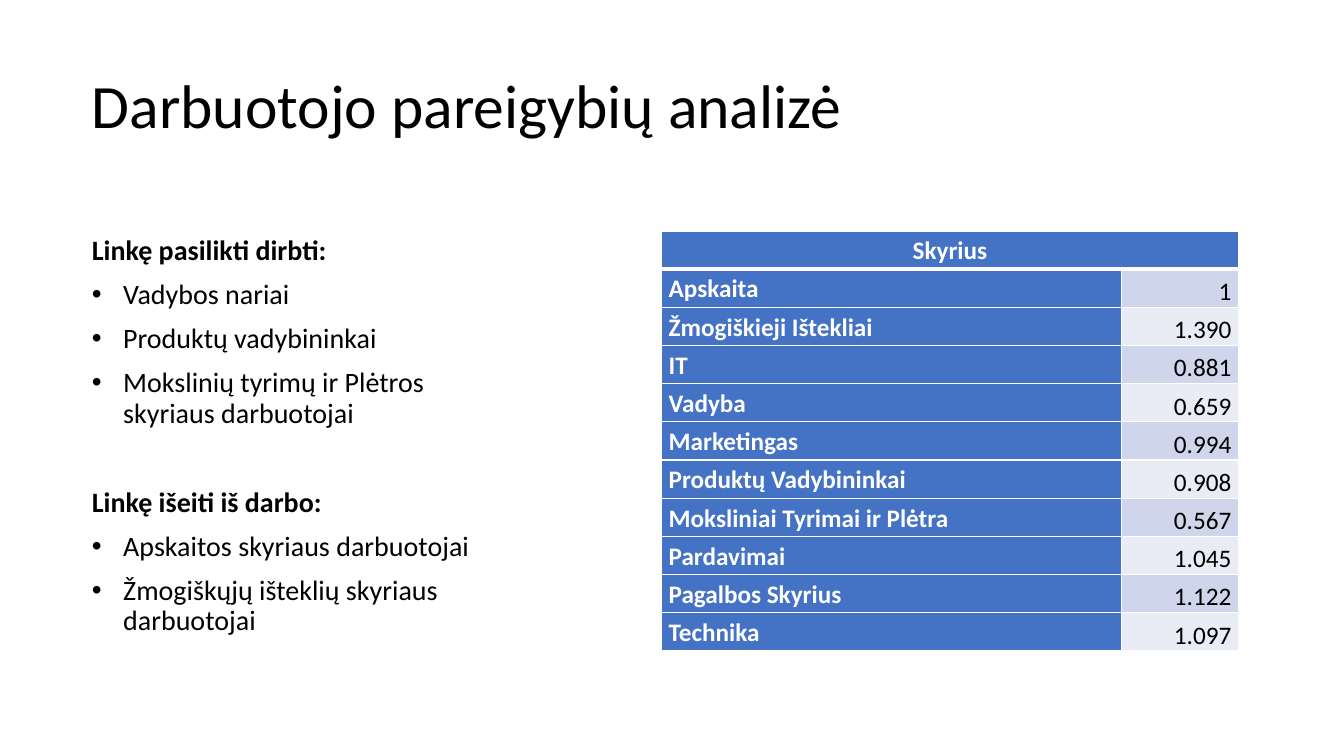
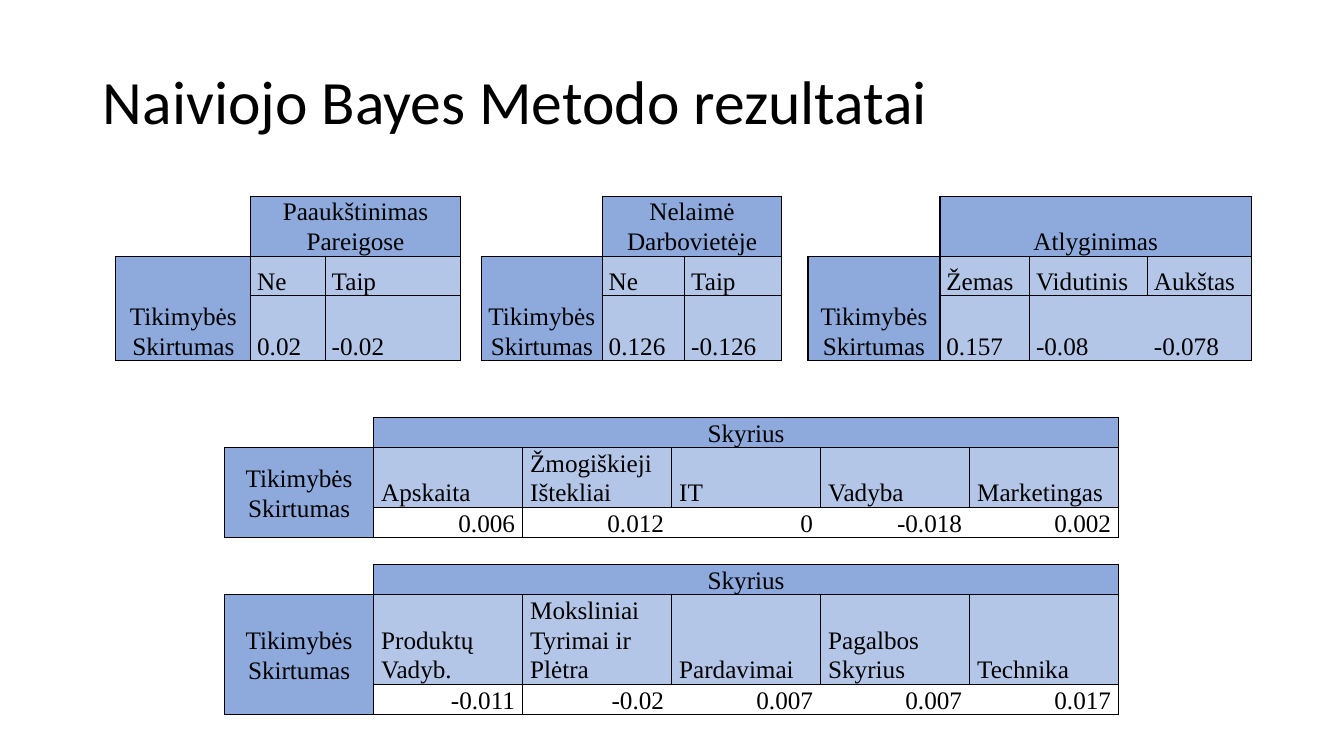
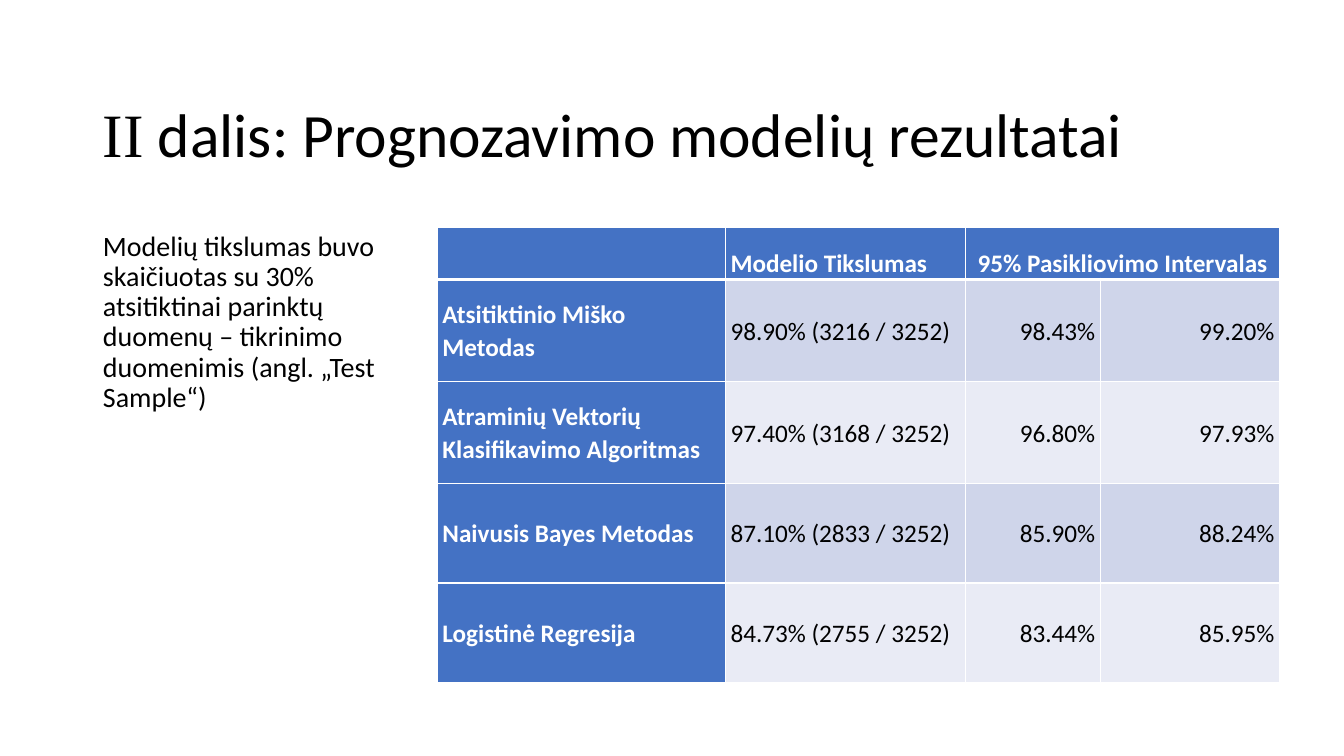
from dataclasses import dataclass, replace

from lxml.etree import SubElement
from pptx import Presentation
from pptx.dml.color import RGBColor
from pptx.enum.text import MSO_ANCHOR as Anchor, MSO_AUTO_SIZE as AutoSize, PP_ALIGN as Align
from pptx.oxml.ns import qn
from pptx.oxml.xmlchemy import OxmlElement
from pptx.util import Cm, Pt

BLACK = RGBColor(0x00, 0x00, 0x00)
WHITE = RGBColor(0xFF, 0xFF, 0xFF)
BLUE = RGBColor(0x44, 0x72, 0xC4)
BAND_DARK = RGBColor(0xCF, 0xD5, 0xEA)
BAND_LIGHT = RGBColor(0xE9, 0xEB, 0xF5)
SKY = RGBColor(0x8E, 0xA9, 0xDB)
PALE = RGBColor(0xB4, 0xC6, 0xE7)
SANS = "Calibri"
SERIF = "Times New Roman"
PLAIN_TABLE = "{2D5ABB26-0587-4C30-8999-92F81FD0307C}"
TITLE_ONLY, TITLE_AND_BODY = 5, 1


@dataclass(frozen=True)
class Look:
    fill: RGBColor = None
    color: RGBColor = BLACK
    bold: bool = False
    font: str = SANS
    align: Align = Align.LEFT
    anchor: Anchor = Anchor.MIDDLE
    edge: RGBColor = WHITE
    sides: str = "LRTB"
    bottom: float = 1


LABEL = Look(BLUE, WHITE, True)
HEADER = replace(LABEL, align=Align.CENTER, bottom=3)
NUMBER = Look(align=Align.RIGHT)
CAPTION = Look(SKY, font=SERIF, align=Align.CENTER, anchor=Anchor.BOTTOM, edge=BLACK)
FIELD = replace(CAPTION, fill=PALE, align=Align.LEFT)


def banded(look, index):
    return replace(look, fill=BAND_LIGHT if index % 2 else BAND_DARK)


def outer_sides(index, count):
    return "TB" + "L" * (index == 0) + "R" * (index == count - 1)


class Slides:
    def __init__(self):
        self.deck = Presentation()
        self.deck.slide_width, self.deck.slide_height = Cm(33.87), Cm(19.05)
        self.page = None

    def add_page(self, layout):
        self.page = self.deck.slides.add_slide(self.deck.slide_layouts[layout])

    def place(self, box, left, top, width, height, anchor):
        box.left, box.top, box.width, box.height = Cm(left), Cm(top), Cm(width), Cm(height)
        frame = box.text_frame
        frame.word_wrap = True
        frame.auto_size = AutoSize.NONE
        frame.vertical_anchor = anchor
        return frame

    def add_span(self, para, text, size, font=SANS, color=BLACK, bold=False):
        span = para.add_run()
        span.text = text
        span.font.name, span.font.size = font, Pt(size)
        span.font.bold, span.font.color.rgb = bold, color

    def title(self, left, top, width, height, *parts):
        frame = self.place(self.page.shapes.title, left, top, width, height, Anchor.BOTTOM)
        para = frame.paragraphs[0]
        para.alignment, para.line_spacing = Align.LEFT, 0.9
        for text, font in parts:
            self.add_span(para, text, 44, font)

    def body(self, left, top, width, height, items):
        frame = self.place(self.page.placeholders[1], left, top, width, height, Anchor.TOP)
        for index, (text, bullet, bold, before) in enumerate(items):
            para = frame.add_paragraph() if index else frame.paragraphs[0]
            para.alignment, para.line_spacing = Align.LEFT, 0.9
            para.space_before = Pt(before)
            self.bullet(para, bullet)
            self.add_span(para, text, 20, bold=bold)

    def bullet(self, para, shown):
        indent = Cm(0.79) if shown else 0
        props = para._p.get_or_add_pPr()
        props.set("marL", str(indent))
        props.set("indent", str(-indent))
        if shown:
            SubElement(props, qn("a:buFont")).set("typeface", "Arial")
            SubElement(props, qn("a:buChar")).set("char", "•")
        else:
            SubElement(props, qn("a:buNone"))

    def table(self, left, top, widths, heights):
        frame = self.page.shapes.add_table(len(heights), len(widths), Cm(left), Cm(top),
                                           Cm(sum(widths)), Cm(sum(heights)))
        frame.element.find(".//" + qn("a:tableStyleId")).text = PLAIN_TABLE
        table = frame.table
        table.first_row = table.horz_banding = False
        for column, width in zip(table.columns, widths):
            column.width = Cm(width)
        for row, height in zip(table.rows, heights):
            row.height = Cm(height)
        for cell in table.iter_cells():
            cell.margin_left = cell.margin_right = cell.margin_top = cell.margin_bottom = 0
            cell.fill.background()
            para = cell.text_frame.paragraphs[0]
            SubElement(para._p, qn("a:endParaRPr")).set("sz", "100")
        return table

    def cell(self, table, row, col, text, look, inset, rows=1, cols=1):
        cell = table.cell(row, col)
        if rows * cols > 1:
            cell.merge(table.cell(row + rows - 1, col + cols - 1))
        for down in range(rows):
            for across in range(cols):
                self.borders(table.cell(row + down, col + across), look)
        if look.fill is not None:
            cell.fill.solid()
            cell.fill.fore_color.rgb = look.fill
        cell.margin_left = cell.margin_right = Cm(inset)
        cell.vertical_anchor = look.anchor
        para = cell.text_frame.paragraphs[0]
        para.alignment, para.line_spacing = look.align, 1.07
        if text:
            self.add_span(para, text, 18, look.font, look.color, look.bold)

    def borders(self, cell, look):
        props = cell._tc.get_or_add_tcPr()
        for index, side in enumerate(s for s in "LRTB" if s in look.sides):
            line = OxmlElement("a:ln" + side)
            line.set("w", str(Pt(look.bottom if side == "B" else 1)))
            fill = SubElement(line, qn("a:solidFill"))
            SubElement(fill, qn("a:srgbClr")).set("val", str(look.edge))
            props.insert(index, line)

    def probability_block(self, table, row, col, heading, fields, inset, side_look, value_look):
        count = len(fields)
        self.cell(table, row, col + 1, heading, CAPTION, inset, cols=count)
        self.cell(table, row + 1, col, "Tikimybės Skirtumas", side_look, inset, rows=2)
        for index, (name, value) in enumerate(fields):
            place = col + 1 + index
            look = replace(value_look, sides=outer_sides(index, count))
            self.cell(table, row + 1, place, name, FIELD, inset)
            self.cell(table, row + 2, place, value, look, inset)


slides = Slides()

slides.add_page(TITLE_AND_BODY)
slides.title(2.06, 1.37, 29.21, 2.34, ("Darbuotojo pareigybių analizė", SANS))
departments = [
    ("Apskaita", "1"), ("Žmogiškieji Ištekliai", "1.390"), ("IT", "0.881"),
    ("Vadyba", "0.659"), ("Marketingas", "0.994"), ("Produktų Vadybininkai", "0.908"),
    ("Moksliniai Tyrimai ir Plėtra", "0.567"), ("Pardavimai", "1.045"),
    ("Pagalbos Skyrius", "1.122"), ("Technika", "1.097"),
]
ratios = slides.table(16.66, 5.82, [11.61, 2.95], [10.59 / 11] * 11)
slides.cell(ratios, 0, 0, "Skyrius", HEADER, 0.19, cols=2)
for index, (name, ratio) in enumerate(departments):
    slides.cell(ratios, index + 1, 0, name, LABEL, 0.19)
    ratio_look = replace(banded(NUMBER, index), anchor=Anchor.BOTTOM)
    slides.cell(ratios, index + 1, 1, ratio, ratio_look, 0.19)
slides.body(2.06, 5.82, 10.92, 10.59, [
    ("Linkę pasilikti dirbti:", False, True, 10),
    ("Vadybos nariai", True, False, 10),
    ("Produktų vadybininkai", True, False, 10),
    ("Mokslinių tyrimų ir Plėtros skyriaus darbuotojai", True, False, 10),
    ("Linkę išeiti iš darbo:", False, True, 42),
    ("Apskaitos skyriaus darbuotojai", True, False, 10),
    ("Žmogiškųjų išteklių skyriaus darbuotojai", True, False, 10),
])

slides.add_page(TITLE_ONLY)
slides.title(2.34, 1.27, 29.21, 2.34, ("Naiviojo Bayes Metodo rezultatai", SANS))
factors = slides.table(
    2.92, 4.95,
    [3.4, 1.88, 3.4, 0.53, 3.05, 2.08, 2.44, 0.66, 3.33, 2.26, 2.97, 2.62],
    [1.3, 1, 1.63])
for col, heading, fields in [
    (0, "Paaukštinimas Pareigose", [("Ne", "0.02"), ("Taip", "-0.02")]),
    (4, "Nelaimė Darbovietėje", [("Ne", "0.126"), ("Taip", "-0.126")]),
    (8, "Atlyginimas", [("Žemas", "0.157"), ("Vidutinis", "-0.08"), ("Aukštas", "-0.078")]),
]:
    slides.probability_block(factors, 0, col, heading, fields, 0.16, CAPTION, FIELD)

sections = slides.table(5.66, 10.52, [22.53 / 6] * 6, [0.76, 1.5, 0.76, 0.68, 0.76, 2.26, 0.76])
middle_caption = replace(CAPTION, anchor=Anchor.MIDDLE)
open_value = replace(FIELD, fill=None, align=Align.RIGHT)
for row, fields in [
    (0, [("Apskaita", "0.006"), ("Žmogiškieji Ištekliai", "0.012"), ("IT", "0"),
         ("Vadyba", "-0.018"), ("Marketingas", "0.002")]),
    (4, [("Produktų Vadyb.", "-0.011"), ("Moksliniai Tyrimai ir Plėtra", "-0.02"),
         ("Pardavimai", "0.007"), ("Pagalbos Skyrius", "0.007"), ("Technika", "0.017")]),
]:
    slides.probability_block(sections, row, 0, "Skyrius", fields, 0.19, middle_caption, open_value)

slides.add_page(TITLE_AND_BODY)
slides.title(2.34, 1.27, 29.95, 3.15,
             ("II", SERIF), (" dalis: Prognozavimo modelių rezultatai", SANS))
models = slides.table(11.02, 5.72, [7.26, 6.05, 3.4, 4.52], [1.32, 2.57, 2.57, 2.51, 2.51])
low_header = replace(HEADER, anchor=Anchor.BOTTOM)
slides.cell(models, 0, 0, "", low_header, 0.13)
slides.cell(models, 0, 1, "Modelio Tikslumas", replace(low_header, align=Align.LEFT), 0.13)
slides.cell(models, 0, 2, "95% Pasikliovimo Intervalas", low_header, 0.13, cols=2)
for index, (name, accuracy, *interval) in enumerate([
    ("Atsitiktinio Miško Metodas", "98.90% (3216 / 3252)", "98.43%", "99.20%"),
    ("Atraminių Vektorių Klasifikavimo Algoritmas", "97.40% (3168 / 3252)", "96.80%", "97.93%"),
    ("Naivusis Bayes Metodas", "87.10% (2833 / 3252)", "85.90%", "88.24%"),
    ("Logistinė Regresija", "84.73% (2755 / 3252)", "83.44%", "85.95%"),
]):
    slides.cell(models, index + 1, 0, name, LABEL, 0.13)
    slides.cell(models, index + 1, 1, accuracy, banded(Look(), index), 0.13)
    for col, bound in enumerate(interval, 2):
        slides.cell(models, index + 1, col, bound, banded(NUMBER, index), 0.13)
slides.body(2.34, 5.72, 8.15, 10.59, [
    ("Modelių tikslumas buvo skaičiuotas su 30% atsitiktinai parinktų duomenų – "
     "tikrinimo duomenimis (angl. „Test Sample“)", False, False, 10),
])

slides.deck.save("out.pptx")
